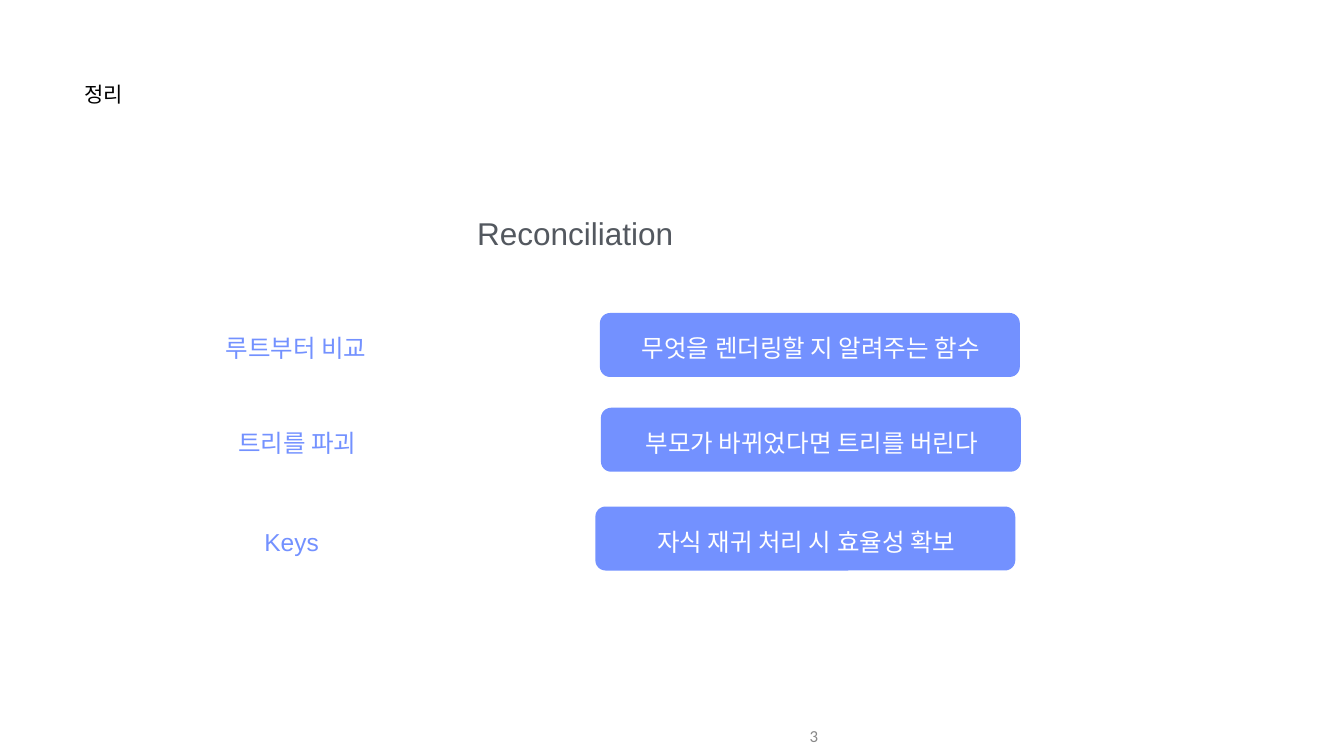
from pptx import Presentation
from pptx.dml.color import RGBColor
from pptx.enum.shapes import MSO_SHAPE
from pptx.enum.text import MSO_ANCHOR, MSO_AUTO_SIZE, PP_ALIGN
from pptx.util import Inches, Pt

ROUNDED = MSO_SHAPE.ROUNDED_RECTANGLE
TOP, MIDDLE = MSO_ANCHOR.TOP, MSO_ANCHOR.MIDDLE
LEFT, CENTER, RIGHT = PP_ALIGN.LEFT, PP_ALIGN.CENTER, PP_ALIGN.RIGHT
NO_FIT = MSO_AUTO_SIZE.NONE

TITLE = "정리"
HEADING = "Reconciliation"
PAGE = "3"
ROWS = [
    ("루트부터 비교", "무엇을 렌더링할 지 알려주는 함수", 2.75, 6.21),
    ("트리를 파괴", "부모가 바뀌었다면 트리를 버린다", 2.77, 8.09),
    ("Keys", "자식 재귀 처리 시 효율성 확보", 2.66, 10.05),
]

THEME = {
    "font": "Arial",
    "page_font": "Calibri",
    "title": ("000000", 30),
    "heading": ("53585F", 45),
    "term": ("7391FF", 35),
    "meaning": ("FFFFFF", 35),
    "page": ("888888", 24),
    "card": "7391FF",
}

TERM_W, CARD_W, CARD_H, TEXT_H = 6.25, 8.33, 1.27, 0.62
CARD_DX = 9.15
TEXT_DY = 0.38


def place(sp, box):
    sp.left, sp.top, sp.width, sp.height = map(Inches, box)


def write(sp, text, role, align, anchor, font=THEME["font"], inset=(0.01, 0.01)):
    color, size = THEME[role]
    tf = sp.text_frame
    tf.word_wrap = True
    tf.auto_size = NO_FIT
    tf.vertical_anchor = anchor
    tf.margin_left = tf.margin_right = Inches(inset[0])
    tf.margin_top = tf.margin_bottom = Inches(inset[1])
    p = tf.paragraphs[0]
    p.alignment = align
    r = p.add_run()
    r.text = text
    r.font.name = font
    r.font.size = Pt(size)
    r.font.color.rgb = RGBColor.from_string(color)


def add_text(s, box, *args, **kwargs):
    write(s.shapes.add_textbox(*map(Inches, box)), *args, **kwargs)


def add_card(s, box):
    sp = s.shapes.add_shape(ROUNDED, *map(Inches, box))
    sp.adjustments[0] = 0.16
    sp.shadow.inherit = False
    sp.fill.solid()
    sp.fill.fore_color.rgb = RGBColor.from_string(THEME["card"])
    sp.line.fill.background()


def main():
    prs = Presentation()
    prs.slide_width, prs.slide_height = Inches(26.66), Inches(15)
    s = prs.slides.add_slide(prs.slide_layouts[5])

    place(s.shapes.title, (1.67, 1.6, 4.86, 1.18))
    write(s.shapes.title, TITLE, "title", LEFT, TOP)
    add_text(s, (2.64, 4.24, 17.54, 0.79), HEADING, "heading", CENTER, TOP)
    add_text(s, (10.33, 14.21, 6, 0.79), PAGE, "page", RIGHT, MIDDLE,
             font=THEME["page_font"], inset=(0.1, 0.05))

    for term, meaning, x, y in ROWS:
        card_x, text_y = x + CARD_DX, y + TEXT_DY
        add_card(s, (card_x, y, CARD_W, CARD_H))
        add_text(s, (x, text_y, TERM_W, TEXT_H), term, "term", CENTER, MIDDLE)
        add_text(s, (card_x + 0.02, text_y, CARD_W, TEXT_H), meaning, "meaning", CENTER, MIDDLE)

    prs.save("out.pptx")


if __name__ == "__main__":
    main()
